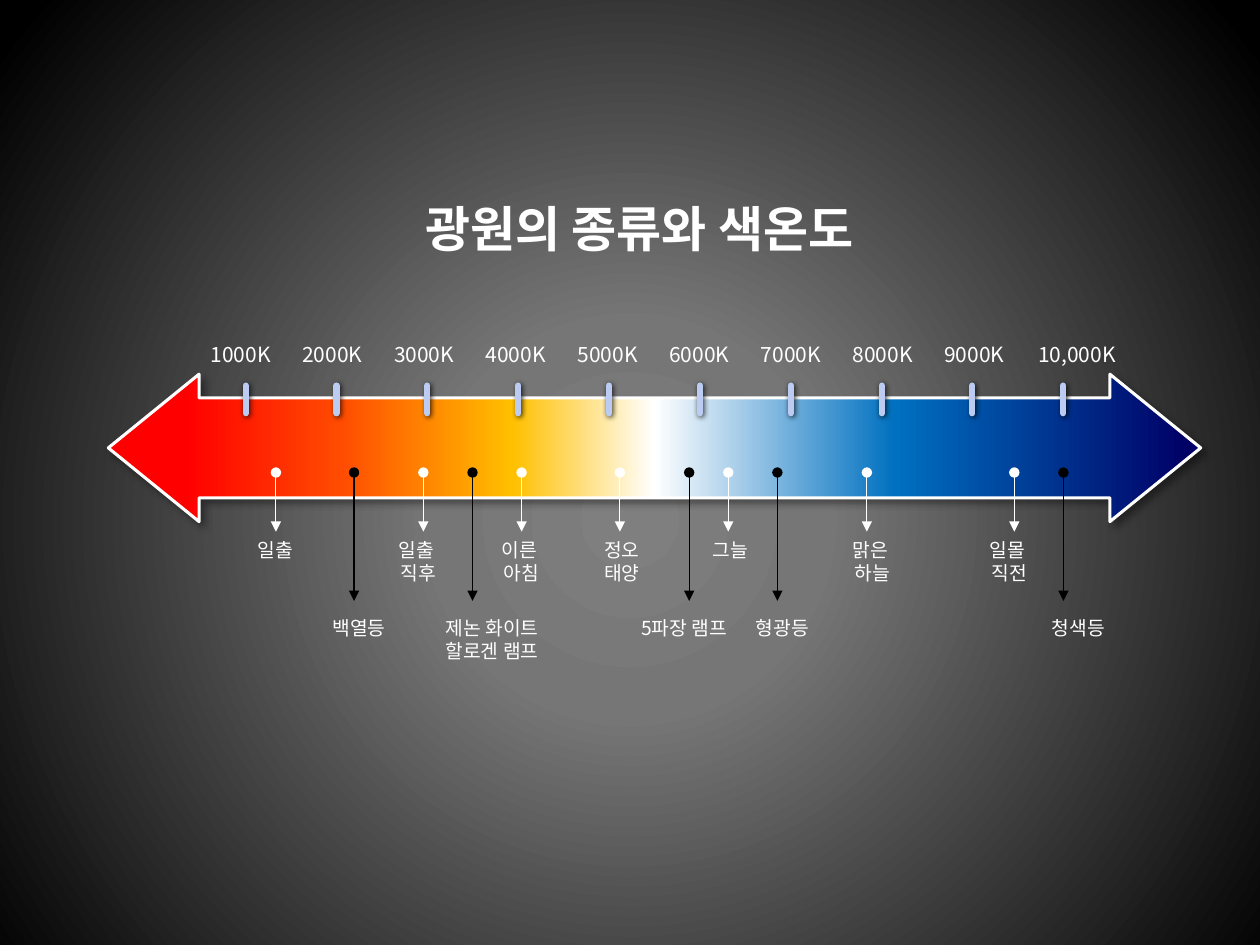
import pptx
import pptx.util
import pptx.dml.color
import pptx.enum.shapes
import pptx.enum.text
import pptx.oxml
import pptx.oxml.ns
from pptx.util import Inches, Pt

FONT = "Noto Sans CJK KR"
NAMESPACE = pptx.oxml.ns.nsdecls("a")
COLORS = {"white": "FFFFFF", "black": "000000", "tick": "BBCBF2"}
SPECTRUM = [(7, "FF0000"), (21, "FF4A01"), (37, "FFC000"),
            (50, "FFFFFF"), (72, "0070C0"), (99, "000066")]
BACKDROP = [(0, "7F7F7F"), (25, "767676"), (100, "000000")]


def set_gradient(element, stops, direction):
    """Replace the gradient inside element with the given stops and direction XML."""
    old = element.find(".//" + pptx.oxml.ns.qn("a:gradFill"))
    stop_xml = "".join(
        f'<a:gs pos="{position * 1000}"><a:srgbClr val="{color}"/></a:gs>'
        for position, color in stops)
    old.getparent().replace(old, pptx.oxml.parse_xml(
        f'<a:gradFill {NAMESPACE} rotWithShape="1"><a:gsLst>{stop_xml}</a:gsLst>'
        f'{direction}</a:gradFill>'))


def write_text(shape, text, size, bold=False):
    frame = shape.text_frame
    frame.word_wrap = True
    frame.text = text
    paragraph = frame.paragraphs[0]
    paragraph.alignment = pptx.enum.text.PP_ALIGN.CENTER
    paragraph.font.size = Pt(size)
    paragraph.font.bold = bold
    paragraph.font.name = FONT
    paragraph.font.color.rgb = pptx.dml.color.RGBColor.from_string(COLORS["white"])
    properties = paragraph._p.pPr.find(pptx.oxml.ns.qn("a:defRPr"))
    properties.append(pptx.oxml.parse_xml(f'<a:ea {NAMESPACE} typeface="{FONT}"/>'))


presentation = pptx.Presentation()
presentation.slide_width = Inches(10)
presentation.slide_height = Inches(7.5)
slide = presentation.slides.add_slide(presentation.slide_layouts[5])
shapes = slide.shapes

slide.background.fill.gradient()
set_gradient(slide._element, BACKDROP,
             '<a:path path="circle"><a:fillToRect l="10000" t="110000" '
             'r="10000" b="100000"/></a:path>')

title = shapes.title
title.left, title.top = Inches(1.17), Inches(1.52)
title.width, title.height = Inches(7.81), Inches(0.57)
write_text(title, "광원의 종류와 색온도", 28, bold=True)

# Spectrum arrow
arrow = shapes.add_shape(pptx.enum.shapes.MSO_SHAPE.LEFT_RIGHT_ARROW,
                         Inches(0.86), Inches(2.97), Inches(8.67), Inches(1.17))
arrow.adjustments[0] = 0.678
arrow.adjustments[1] = 0.616
arrow.fill.gradient()
set_gradient(arrow._element.spPr, SPECTRUM, '<a:lin ang="0" scaled="0"/>')
arrow.line.color.rgb = pptx.dml.color.RGBColor.from_string(COLORS["white"])
arrow.line.width = Pt(1.75)
arrow._element.spPr.append(pptx.oxml.parse_xml(
    f'<a:effectLst {NAMESPACE}><a:outerShdw blurRad="{Pt(4)}" dist="{Pt(3)}" '
    f'dir="2700000" algn="tl" rotWithShape="0"><a:srgbClr val="{COLORS["black"]}">'
    '<a:alpha val="40000"/></a:srgbClr></a:outerShdw></a:effectLst>'))

# Temperature scale: ten evenly spaced ticks and labels
for index in range(10):
    x = Inches(1.95 + 0.721 * index)
    tick = shapes.add_connector(pptx.enum.shapes.MSO_CONNECTOR.STRAIGHT,
                                x, Inches(3.28), x, Inches(3.06))
    tick.line.color.rgb = pptx.dml.color.RGBColor.from_string(COLORS["tick"])
    tick.line.width = Pt(3.5)
    tick.line._get_or_add_ln().set("cap", "rnd")
    tick._element.spPr.append(pptx.oxml.parse_xml(
        f'<a:effectLst {NAMESPACE}><a:outerShdw blurRad="{Pt(3)}" dist="{Pt(1)}" '
        f'dir="2700000" algn="tl" rotWithShape="0"><a:srgbClr val="{COLORS["black"]}">'
        '<a:alpha val="72000"/></a:srgbClr></a:outerShdw></a:effectLst>'))

    width = 0.87 if index == 9 else 0.7
    label = shapes.add_textbox(Inches(1.56 + 0.728 * index), Inches(2.66),
                               Inches(width), Inches(0.3))
    temperature = (index + 1) * 1000
    write_text(label, f"{temperature:,}K" if temperature >= 10000 else f"{temperature}K", 12)

# Light sources: text, pointer x, label left, label width
NATURAL = [("일출", 2.19, 1.87, 0.63), ("일출 \v직후", 3.36, 2.89, 0.86),
           ("이른 \v아침", 4.14, 3.67, 0.94), ("정오\v태양", 4.92, 4.48, 0.91),
           ("그늘", 5.78, 5.39, 0.81), ("맑은 \v하늘", 6.88, 6.43, 0.99),
           ("일몰 \v직전", 8.05, 7.5, 1.02)]
ARTIFICIAL = [("백열등", 2.81, 2.34, 1.02), ("제논 화이트\v할로겐 램프", 3.75, 3.28, 1.25),
              ("5파장 램프", 5.47, 4.92, 1.02), ("형광등", 6.17, 5.7, 1.02),
              ("청색등", 8.44, 8.05, 1.02)]

for sources, color, line_width, pointer_end, label_top in (
        (NATURAL, "white", 0.5, 4.22, 4.22),
        (ARTIFICIAL, "black", 0.75, 4.77, 4.84)):
    for text, x, left, width in sources:
        pointer = shapes.add_connector(pptx.enum.shapes.MSO_CONNECTOR.STRAIGHT,
                                       Inches(x), Inches(3.75), Inches(x), Inches(pointer_end))
        pointer.line.color.rgb = pptx.dml.color.RGBColor.from_string(COLORS[color])
        pointer.line.width = Pt(line_width)
        for end, kind in (("headEnd", "oval"), ("tailEnd", "triangle")):
            pointer.line._get_or_add_ln().append(
                pptx.oxml.parse_xml(f'<a:{end} {NAMESPACE} type="{kind}"/>'))
        pointer._element.spPr.append(pptx.oxml.parse_xml(f"<a:effectLst {NAMESPACE}/>"))

        height = 0.47 if "\v" in text else 0.29
        label = shapes.add_textbox(Inches(left), Inches(label_top),
                                   Inches(width), Inches(height))
        write_text(label, text, 11)

presentation.save("out.pptx")
